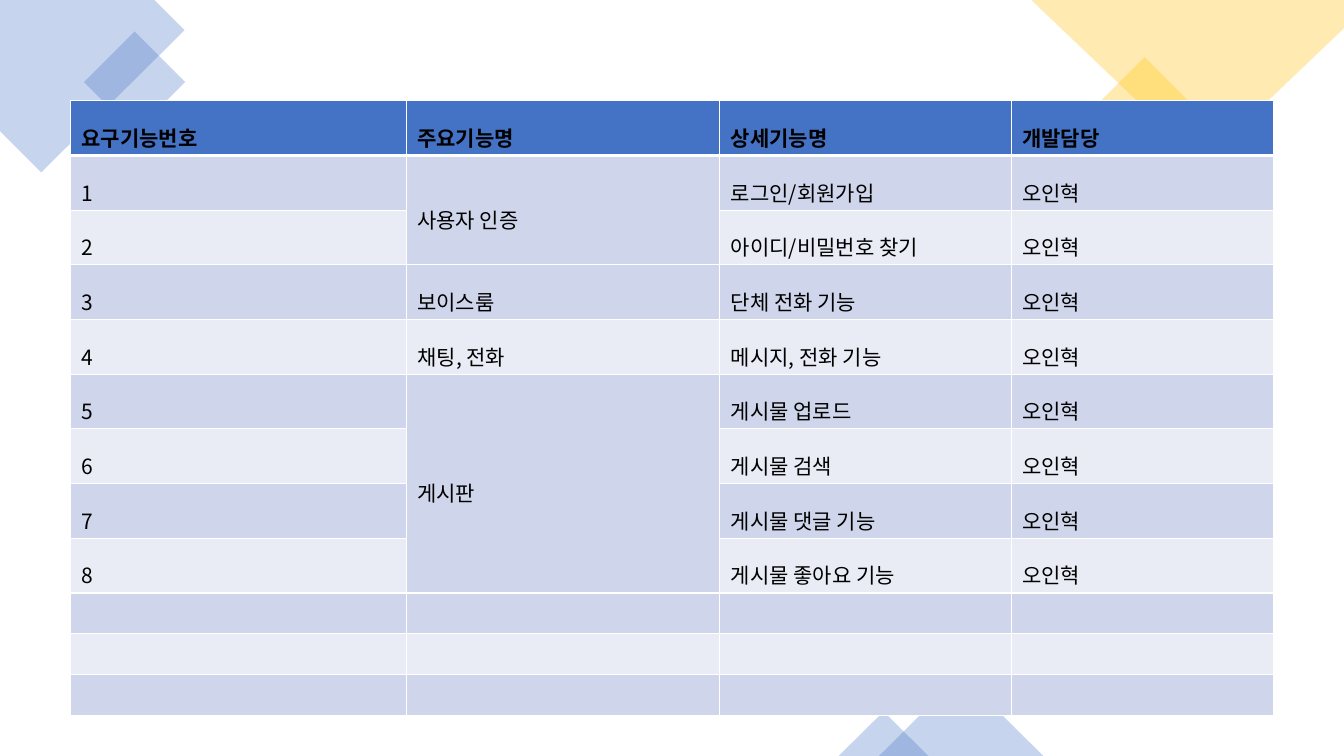
from dataclasses import dataclass
from math import cos, radians, sin

from lxml.etree import SubElement
from pptx import Presentation
from pptx.dml.color import RGBColor
from pptx.enum.shapes import MSO_SHAPE
from pptx.enum.text import MSO_ANCHOR, PP_ALIGN
from pptx.oxml import parse_xml
from pptx.oxml.ns import nsdecls, qn
from pptx.util import Inches, Pt


@dataclass(frozen=True)
class Theme:
    blue: str = "4472C4"
    gold: str = "FFC000"
    white: str = "FFFFFF"
    black: str = "000000"
    bands: tuple = ("E9EBF5", "CFD5EA")
    font: str = "Noto Sans CJK KR"
    text_size: int = 15
    line_spacing: float = 1.6
    opacity: int = 30
    rule: int = 1
    header_rule: int = 3


class SlideBuilder:
    GRID = 100

    def __init__(self, theme):
        self.theme = theme
        self.deck = Presentation()
        self.deck.slide_width = Inches(13.33)
        self.deck.slide_height = Inches(7.5)
        self.slide = self.deck.slides.add_slide(self.deck.slide_layouts[6])

    def column(self, count):
        return round(self.deck.slide_width * count / self.GRID)

    def row(self, count):
        return round(self.deck.slide_height * count / self.GRID)

    def area(self, left, top, width, height):
        return self.column(left), self.row(top), self.column(width), self.row(height)

    def tint(self, ornament, color, rotation):
        ornament.shadow.inherit = False
        ornament.rotation = rotation
        ornament.line.fill.background()
        ornament.fill.solid()
        ornament.fill.fore_color.rgb = RGBColor.from_string(color)
        shade = ornament._element.spPr.find(".//" + qn("a:srgbClr"))
        SubElement(shade, qn("a:alpha"), val=str(self.theme.opacity * 1000))

    def preset(self, kind, area, color, rotation=0):
        ornament = self.slide.shapes.add_shape(kind, *self.area(*area))
        self.tint(ornament, color, rotation)

    def outline(self, corners, area, color, rotation):
        left, top, width, height = self.area(*area)
        center_x, center_y = left + width / 2, top + height / 2
        turn = radians(-rotation)
        turned = []
        for x, y in corners:
            dx, dy = self.column(x) - center_x, self.row(y) - center_y
            turned.append((
                round(center_x + dx * cos(turn) - dy * sin(turn)),
                round(center_y + dx * sin(turn) + dy * cos(turn)),
            ))
        builder = self.slide.shapes.build_freeform(*turned[0], scale=1.0)
        builder.add_line_segments(turned[1:], close=True)
        self.tint(builder.convert_to_shape(), color, rotation)

    def border(self, cell, top, bottom):
        rule = self.theme.rule
        sides = {"lnL": rule, "lnR": rule, "lnT": top, "lnB": bottom}
        for position, (side, points) in enumerate(sides.items()):
            edge = parse_xml(
                f'<a:{side} {nsdecls("a")} w="{Pt(points)}"><a:solidFill>'
                f'<a:srgbClr val="{self.theme.white}"/></a:solidFill></a:{side}>'
            )
            cell._tc.get_or_add_tcPr().insert(position, edge)

    def label(self, cell, text, bold):
        cell_format = {
            "vertical_anchor": MSO_ANCHOR.MIDDLE,
            "margin_left": Inches(0.11),
            "margin_right": Inches(0.11),
            "margin_top": Inches(0.03),
            "margin_bottom": Inches(0.03),
        }
        paragraph = cell.text_frame.paragraphs[0]
        paragraph_format = {
            "alignment": PP_ALIGN.JUSTIFY,
            "line_spacing": self.theme.line_spacing,
        }
        run = paragraph.add_run()
        run.text = text
        font_format = {
            "size": Pt(self.theme.text_size),
            "bold": bold,
            "name": self.theme.font,
        }
        for target, values in (
            (cell, cell_format),
            (paragraph, paragraph_format),
            (run.font, font_format),
        ):
            for name, value in values.items():
                setattr(target, name, value)
        run.font.color.rgb = RGBColor.from_string(self.theme.black)
        SubElement(run._r.get_or_add_rPr(), qn("a:ea"), typeface=self.theme.font)

    def table(self, left, top, widths, heights, content, merges):
        area = self.area(left, top, sum(widths), sum(heights))
        grid = self.slide.shapes.add_table(len(heights), len(widths), *area).table
        for column, width in zip(grid.columns, widths):
            column.width = self.column(width)
        for row, height in zip(grid.rows, heights):
            row.height = self.row(height)
        for first, last, column in merges:
            grid.cell(first, column).merge(grid.cell(last, column))
        rule, header_rule = self.theme.rule, self.theme.header_rule
        for r in range(len(heights)):
            for c in range(len(widths)):
                cell = grid.cell(r, c)
                color = self.theme.bands[r % 2] if r else self.theme.blue
                cell.fill.solid()
                cell.fill.fore_color.rgb = RGBColor.from_string(color)
                self.border(
                    cell,
                    header_rule if r == 1 else rule,
                    header_rule if r == 0 else rule,
                )
                if r < len(content) and content[r][c]:
                    self.label(cell, content[r][c], r == 0)


HEADINGS = ("요구기능번호", "주요기능명", "상세기능명", "개발담당")
DEVELOPER = "오인혁"
FEATURES = (
    ("사용자 인증", ("로그인/회원가입", "아이디/비밀번호 찾기")),
    ("보이스룸", ("단체 전화 기능",)),
    ("채팅, 전화", ("메시지, 전화 기능",)),
    ("게시판", ("게시물 업로드", "게시물 검색", "게시물 댓글 기능", "게시물 좋아요 기능")),
)
SPARE_ROWS = 3


def requirements():
    content, merges = [HEADINGS], []
    for feature, details in FEATURES:
        first = len(content)
        for index, detail in enumerate(details):
            title = "" if index else feature
            content.append((str(len(content)), title, detail, DEVELOPER))
        if len(details) > 1:
            merges.append((first, len(content) - 1, 1))
    return content, merges


def main():
    theme = Theme()
    page = SlideBuilder(theme)
    page.outline(
        [(11.48, 0), (0, 0), (0, 17.33), (3.07, 22.8), (13.73, 4)],
        (-3.07, -3.73, 15, 20.13), theme.blue, 315,
    )
    page.preset(MSO_SHAPE.RECTANGLE, (7.35, 6.13, 5.33, 9.47), theme.blue, 315)
    page.preset(MSO_SHAPE.RECTANGLE, (82.35, 9.6, 5.63, 10), theme.gold, 315)
    page.outline(
        [(100, 0), (76.73, 0), (89.48, 21.6), (100, 3.73)],
        (76.73, 0, 23.27, 21.6), theme.gold, 180,
    )
    for area in ((65.4, 89.2, 12.23, 10.8), (62.4, 94.13, 6.68, 5.87)):
        page.preset(MSO_SHAPE.ISOSCELES_TRIANGLE, area, theme.blue)
    content, merges = requirements()
    heights = [6.4] * len(content) + [5.33] * SPARE_ROWS
    page.table(5.25, 13.33, (24.98, 23.33, 21.68, 19.5), heights, content, merges)
    page.deck.save("out.pptx")


if __name__ == "__main__":
    main()
